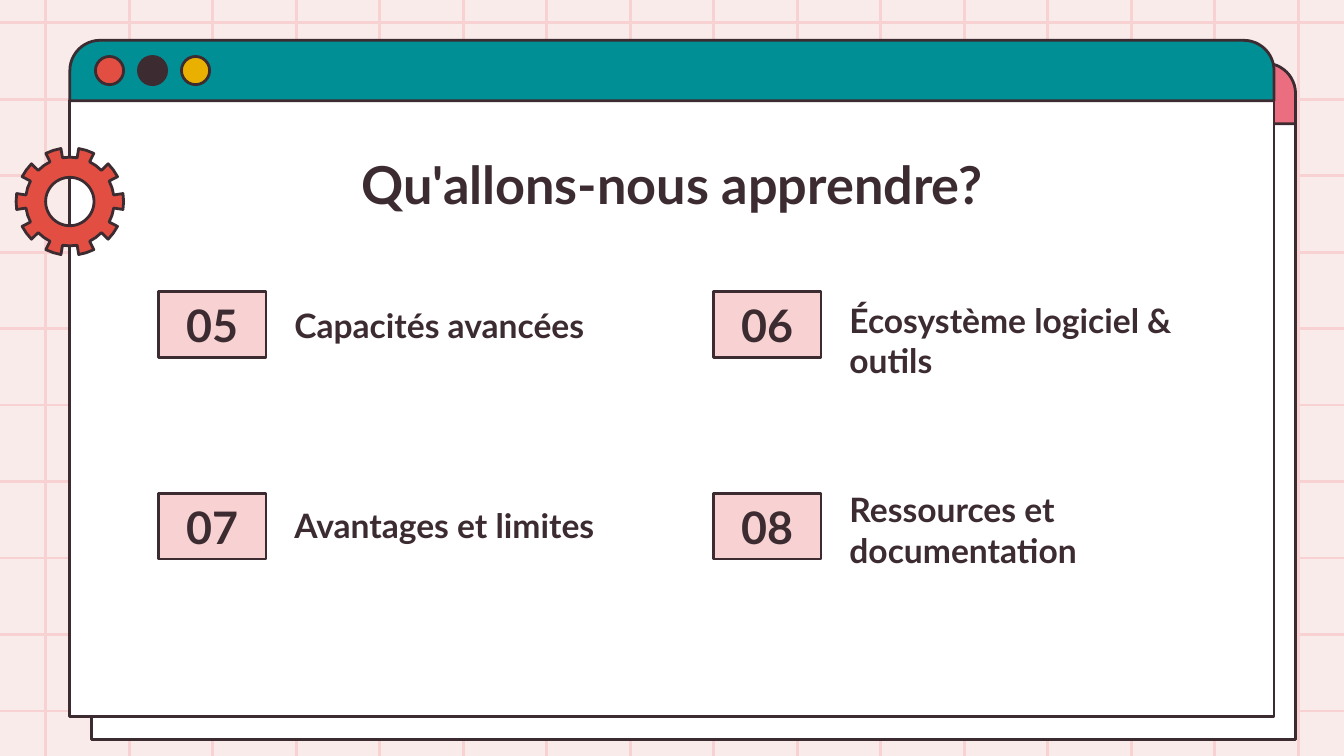
from math import cos, radians, sin

from lxml import etree
from pptx import Presentation
from pptx.dml.color import RGBColor
from pptx.enum.shapes import MSO_CONNECTOR, MSO_SHAPE
from pptx.enum.text import MSO_ANCHOR, MSO_AUTO_SIZE, PP_ALIGN
from pptx.oxml.ns import qn
from pptx.util import Inches, Pt

COLORS = {
    "paper": "FAEBEB", "pink": "F8D2D2", "ink": "3C2C31", "white": "FFFFFF",
    "rose": "EB6E80", "teal": "008F95", "red": "E24E42", "yellow": "E9B000",
}
FONT = "Lato"
WIDTH = 10
HEIGHT = WIDTH * 9 / 16

TITLE = "Qu'allons-nous apprendre?"
# number, topic, row, column, top and height of the topic
TOPICS = [
    ("05", "Capacités avancées", 0, 0, 2.17, 0.5),
    ("06", "Écosystème logiciel & outils", 0, 1, 2.14, 0.79),
    ("07", "Avantages et limites", 1, 0, 3.66, 0.5),
    ("08", "Ressources et documentation", 1, 1, 3.52, 0.82),
]
# left, top, colour of the bar
WINDOWS = [(0.68, 0.47, "rose"), (0.52, 0.3, "teal")]
BUTTONS = ["red", "ink", "yellow"]


def rgb(name):
    return RGBColor.from_string(COLORS[name])


def paint(shape, fill):
    shape.shadow.inherit = False
    shape.fill.solid()
    shape.fill.fore_color.rgb = rgb(fill)
    shape.line.color.rgb = rgb("ink")
    shape.line.width = Pt(1.5)


def add_figure(kind, left, top, width, height, fill):
    figure = slide.shapes.add_shape(
        kind, Inches(left), Inches(top), Inches(width), Inches(height))
    paint(figure, fill)
    return figure


def add_grid_line(x1, y1, x2, y2):
    line = slide.shapes.add_connector(
        MSO_CONNECTOR.STRAIGHT, Inches(x1), Inches(y1), Inches(x2), Inches(y2))
    line.line.color.rgb = rgb("pink")
    line.line.width = Pt(1.5)
    etree.SubElement(line.element.spPr, qn("a:effectLst"))


def add_window(left, top, bar_color):
    width, bar_height = 8.96, 0.45
    add_figure(MSO_SHAPE.RECTANGLE, left, top + bar_height, width, 4.58, "white")
    bar = add_figure(MSO_SHAPE.ROUND_2_SAME_RECTANGLE,
                     left, top, width, bar_height, bar_color)
    bar.adjustments[0] = 0.5
    for i, color in enumerate(BUTTONS):
        add_figure(MSO_SHAPE.OVAL, left + 0.19 + 0.32 * i, top + 0.12,
                   0.21, 0.21, color)


def add_gear(center_x, center_y, teeth=10):
    """Draw a toothed ring as one outline with a round hole."""
    outer, root, hole = 0.4, 0.33, 0.18

    def point(radius, degrees):
        angle = radians(degrees)
        return (Inches(center_x + radius * cos(angle)),
                Inches(center_y + radius * sin(angle)))

    profile = [(root, -8.5), (outer, -8.5), (outer, 0), (outer, 8.5),
               (root, 8.5), (root, 18)]
    pitch = 360 / teeth
    rim = [point(radius, tooth * pitch + offset)
           for tooth in range(teeth) for radius, offset in profile]
    ring = [point(hole, -degrees) for degrees in range(0, 360, 6)]
    builder = slide.shapes.build_freeform(*rim[0])
    builder.add_line_segments(rim[1:], close=True)
    builder.move_to(*ring[0])
    builder.add_line_segments(ring[1:], close=True)
    paint(builder.convert_to_shape(), "red")


def write(shape, text, size, align, anchor):
    frame = shape.text_frame
    frame.text = text
    frame.word_wrap = True
    frame.auto_size = MSO_AUTO_SIZE.NONE
    frame.vertical_anchor = anchor
    frame.margin_left = frame.margin_right = Inches(0.1)
    frame.margin_top = frame.margin_bottom = Inches(0.1)
    paragraph = frame.paragraphs[0]
    properties = paragraph._p.get_or_add_pPr()
    properties.set("marL", "0")
    properties.set("indent", "0")
    etree.SubElement(properties, qn("a:buNone"))
    paragraph.alignment = align
    paragraph.space_before = Pt(0)
    font = paragraph.runs[0].font
    font.name, font.size, font.bold = FONT, Pt(size), True
    font.color.rgb = rgb("ink")


def place(placeholder, left, top, width, height):
    """Move a placeholder and bring it in front of the window."""
    placeholder.left, placeholder.top = Inches(left), Inches(top)
    placeholder.width, placeholder.height = Inches(width), Inches(height)
    slide.shapes.element.append(placeholder.element)


deck = Presentation()
deck.slide_width, deck.slide_height = Inches(WIDTH), Inches(HEIGHT)
slide = deck.slides.add_slide(deck.slide_layouts.get_by_name("Comparison"))
title, *captions = list(slide.placeholders)[:5]

slide.background.fill.solid()
slide.background.fill.fore_color.rgb = rgb("paper")
for column in range(16):
    x = 0.34 + 9.32 * column / 15
    add_grid_line(x, 0, x, HEIGHT)
for row in range(10):
    y = 0.17 + 5.12 * row / 9
    add_grid_line(0, y, WIDTH, y)
for window in WINDOWS:
    add_window(*window)

place(title, 0.98, 1.03, 8.04, 0.63)
write(title, TITLE, 28, PP_ALIGN.CENTER, MSO_ANCHOR.TOP)

for caption, (number, topic, row, column, top, height) in zip(captions, TOPICS):
    left = 1.18 + 4.13 * column
    badge = add_figure(MSO_SHAPE.RECTANGLE, left, 2.17 + 1.5 * row, 0.8, 0.49, "pink")
    write(badge, number, 24, PP_ALIGN.CENTER, MSO_ANCHOR.MIDDLE)
    place(caption, left + 0.91, top, 2.6, height)
    write(caption, topic, 18, PP_ALIGN.LEFT, MSO_ANCHOR.BOTTOM)

add_gear(0.52, 1.5)
deck.save("out.pptx")
